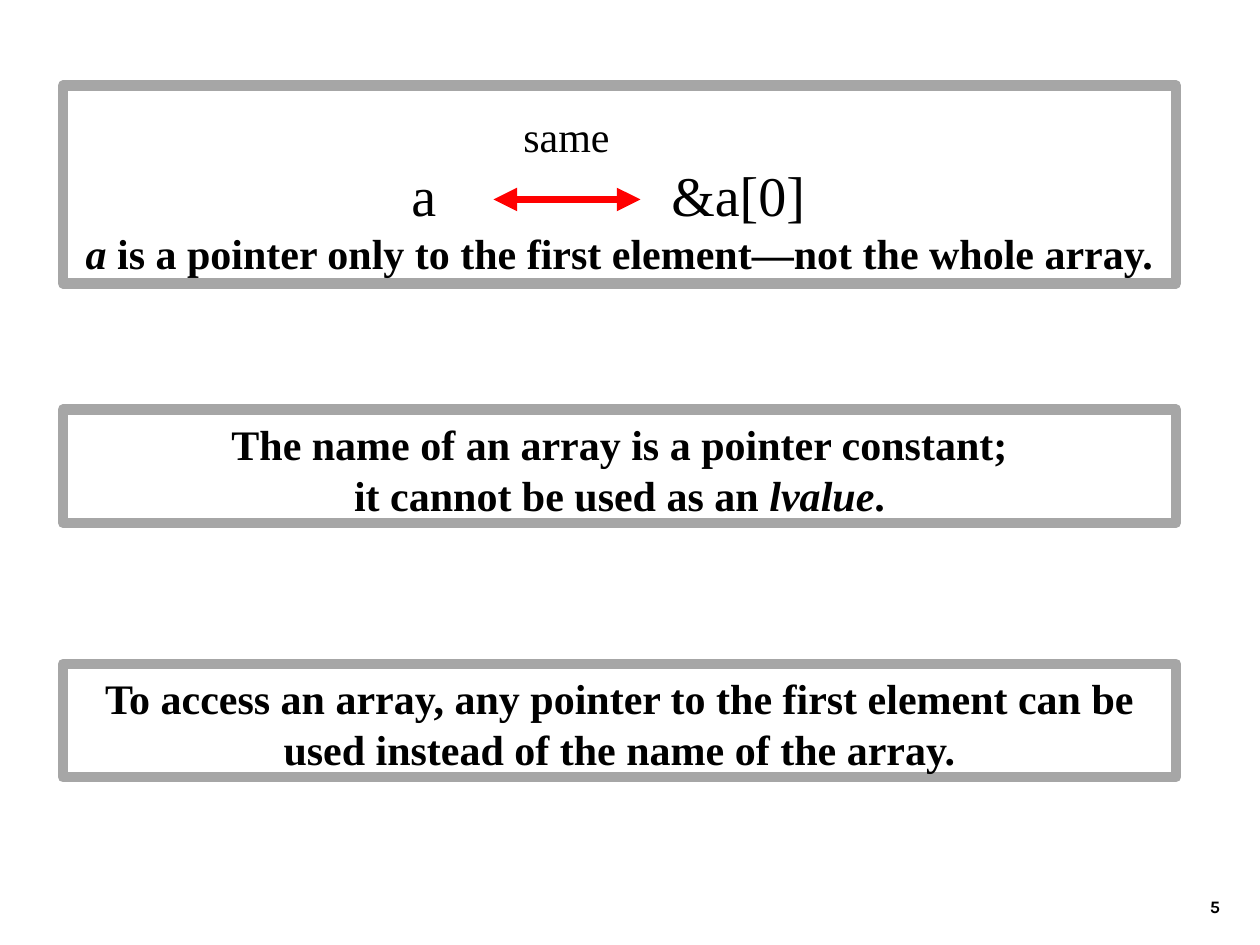
from lxml import etree
from pptx import Presentation
from pptx.dml.color import RGBColor
from pptx.enum.shapes import MSO_CONNECTOR, MSO_SHAPE
from pptx.enum.text import MSO_ANCHOR, PP_ALIGN
from pptx.oxml.ns import qn
from pptx.util import Pt

SERIF = "Times New Roman"
BOX_LEFT, BOX_WIDTH = 36, 636


def colour(value):
    return RGBColor.from_string(value)


def add_run(p, text, size=24, bold=False, italic=False, font=SERIF):
    r = p.add_run()
    r.text = text
    r.font.name = font
    r.font.size = Pt(size)
    r.font.bold = bold
    r.font.italic = italic
    r.font.color.rgb = colour("000000")


def add_tab_stops(p, stops):
    tabs = etree.SubElement(p._p.get_or_add_pPr(), qn("a:tabLst"))
    for stop in stops:
        etree.SubElement(tabs, qn("a:tab"), pos=str(Pt(stop)), algn="l")


def add_frame(s, top, height):
    sp = s.shapes.add_shape(MSO_SHAPE.RECTANGLE, Pt(BOX_LEFT), Pt(top),
                            Pt(BOX_WIDTH), Pt(height))
    sp.shadow.inherit = False
    sp.fill.solid()
    sp.fill.fore_color.rgb = colour("FFFFFF")
    sp.line.color.rgb = colour("A6A6A6")
    sp.line.width = Pt(6)
    tf = sp.text_frame
    tf.word_wrap = True
    tf.vertical_anchor = MSO_ANCHOR.TOP
    tf.margin_top = Pt(5)
    return tf


def write_statement(p, runs):
    p.alignment = PP_ALIGN.CENTER
    p.line_spacing = Pt(29)
    for text, italic in runs:
        add_run(p, text, bold=True, italic=italic)


def add_statement_box(s, top, height, lines):
    tf = add_frame(s, top, height)
    for i, runs in enumerate(lines):
        p = tf.add_paragraph() if i else tf.paragraphs[0]
        write_statement(p, runs)


def add_double_arrow(s, left, right, y):
    line = s.shapes.add_connector(MSO_CONNECTOR.STRAIGHT, Pt(left), Pt(y),
                                  Pt(right), Pt(y))
    line.line.color.rgb = colour("FF0000")
    line.line.width = Pt(4.5)
    ln = line.line._get_or_add_ln()
    for end in ("a:headEnd", "a:tailEnd"):
        etree.SubElement(ln, qn(end), type="triangle")
    etree.SubElement(line._element.spPr, qn("a:effectLst"))


def add_equivalence_box(s, top, height):
    tf = add_frame(s, top, height)
    rows = [([256], [("\tsame", 24)]),
            ([192, 340.5], [("\ta", 32), ("\t&a[0]", 32)])]
    for i, (stops, runs) in enumerate(rows):
        p = tf.add_paragraph() if i else tf.paragraphs[0]
        p.alignment = PP_ALIGN.LEFT
        p.line_spacing = Pt(38)
        add_tab_stops(p, stops)
        for text, size in runs:
            add_run(p, text, size)
    write_statement(tf.add_paragraph(), [
        ("a", True),
        (" is a pointer only to the first element—not the whole array.", False)])
    add_double_arrow(s, BOX_LEFT + 246, BOX_LEFT + 330, top + 65)


def add_page_number(s, left, top, width, height):
    tf = s.shapes.add_textbox(Pt(left), Pt(top), Pt(width), Pt(height)).text_frame
    tf.word_wrap = True
    tf.vertical_anchor = MSO_ANCHOR.BOTTOM
    p = tf.paragraphs[0]
    p.alignment = PP_ALIGN.RIGHT
    add_run(p, "5", 10, bold=True, font="Karla")


def main():
    prs = Presentation()
    prs.slide_width, prs.slide_height = Pt(720), Pt(540)
    s = prs.slides.add_slide(prs.slide_layouts[6])
    add_page_number(s, 554.4, 491.8, 149.8, 36)
    add_equivalence_box(s, 49, 113)
    add_statement_box(s, 234, 64.8, [
        [("The name of an array is a pointer constant;", False)],
        [("it cannot be used as an ", False), ("lvalue", True), (".", False)]])
    add_statement_box(s, 379.4, 64.8, [
        [("To access an array, any pointer to the first element can be "
          "used instead of the name of the array.", False)]])
    prs.save("out.pptx")


if __name__ == "__main__":
    main()
